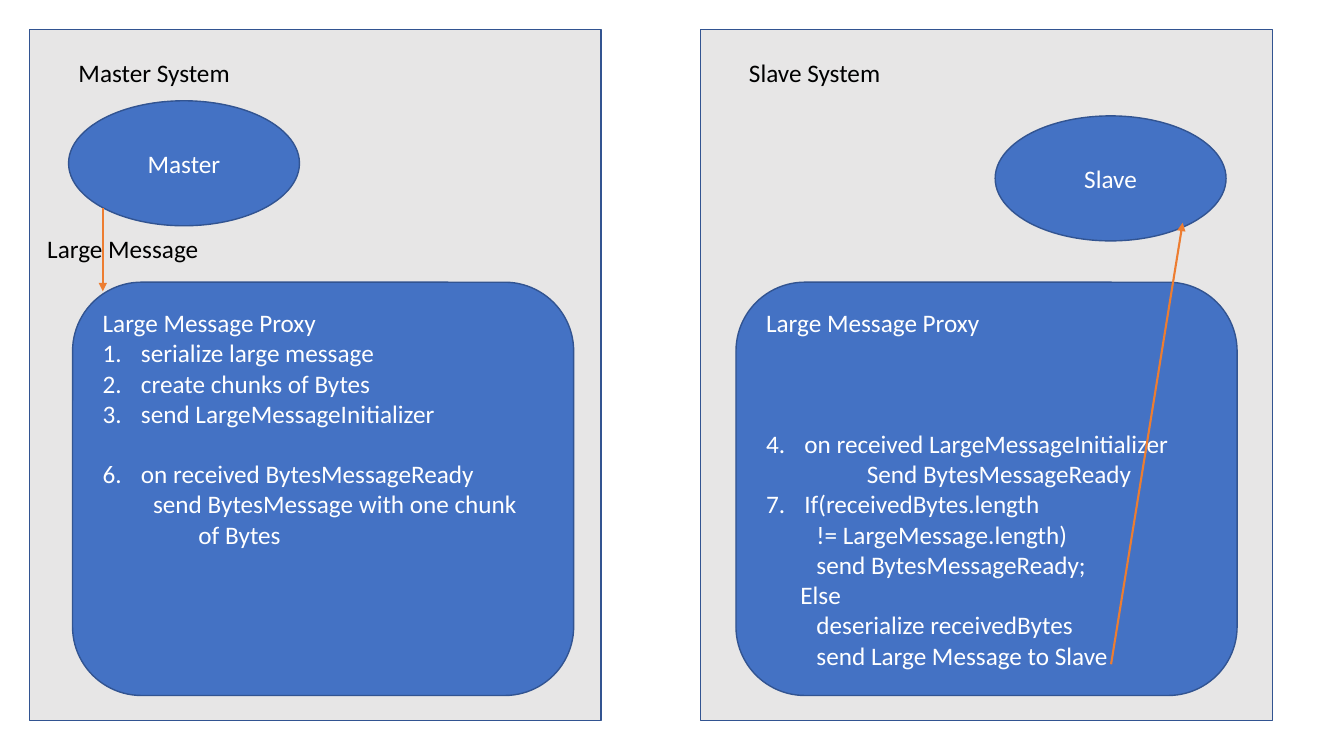
import pptx
import pptx.util
import pptx.dml.color
import pptx.enum.shapes
import pptx.enum.text
import pptx.oxml.ns
import lxml.etree

Inches = pptx.util.Inches
Pt = pptx.util.Pt
SHAPE = pptx.enum.shapes.MSO_SHAPE
ANCHOR = pptx.enum.text.MSO_ANCHOR
ALIGN = pptx.enum.text.PP_ALIGN
qn = pptx.oxml.ns.qn


def rgb(value):
    return pptx.dml.color.RGBColor.from_string(value)


def put_text(p, text, font="Calibri", size=18, color="FFFFFF", align=ALIGN.LEFT,
             indent=0, number=None, before=0):
    p.alignment = align
    p.space_before = Pt(before)
    r = p.add_run()
    r.text = text
    r.font.name = font
    r.font.size = Pt(size)
    r.font.color.rgb = rgb(color)
    pPr = p._p.get_or_add_pPr()
    if number:
        indent = 0.38
        pPr.set("indent", str(Inches(-indent)))
        bu = lxml.etree.SubElement(pPr, qn("a:buAutoNum"), type="arabicPeriod")
        if number > 1:
            bu.set("startAt", str(number))
    if indent:
        pPr.set("marL", str(Inches(indent)))


class Deck:
    blue = "4472C4"
    gray = "E7E6E6"
    edge = "325491"
    orange = "ED7D31"

    def __init__(self):
        self.prs = pptx.Presentation()
        self.prs.slide_width = Inches(13.33)
        self.prs.slide_height = Inches(7.5)
        self.s = self.prs.slides.add_slide(self.prs.slide_layouts[6])

    def shape(self, kind, x, y, w, h, fill):
        sp = self.s.shapes.add_shape(kind, Inches(x), Inches(y), Inches(w), Inches(h))
        sp.shadow.inherit = False
        sp.fill.solid()
        sp.fill.fore_color.rgb = rgb(fill)
        sp.line.color.rgb = rgb(self.edge)
        sp.line.width = Pt(1)
        return sp

    def system(self, x):
        self.shape(SHAPE.RECTANGLE, x, 0.29, 5.67, 6.86, self.gray)

    def label(self, text, x, y, w):
        tf = self.s.shapes.add_textbox(Inches(x), Inches(y), Inches(w), Inches(0.4)).text_frame
        tf.word_wrap = True
        put_text(tf.paragraphs[0], text, color="000000")

    def actor(self, text, x, y):
        tf = self.shape(SHAPE.OVAL, x, y, 2.29, 1.24, self.blue).text_frame
        tf.vertical_anchor = ANCHOR.MIDDLE
        put_text(tf.paragraphs[0], text, align=ALIGN.CENTER)

    def proxy(self, x, steps):
        tf = self.shape(SHAPE.ROUNDED_RECTANGLE, x, 2.8, 4.97, 4.1, self.blue).text_frame
        tf.word_wrap = True
        tf.vertical_anchor = ANCHOR.TOP
        put_text(tf.paragraphs[0], "Large Message Proxy")
        for text, style in steps:
            put_text(tf.add_paragraph(), text, **style)

    def arrow(self, x1, y1, x2, y2):
        c = self.s.shapes.add_connector(pptx.enum.shapes.MSO_CONNECTOR.STRAIGHT,
                                        Inches(x1), Inches(y1), Inches(x2), Inches(y2))
        c.line.color.rgb = rgb(self.orange)
        c.line.width = Pt(1.5)
        lxml.etree.SubElement(c.line._get_or_add_ln(), qn("a:tailEnd"), type="triangle")
        lxml.etree.SubElement(c._element.spPr, qn("a:effectLst"))


def main():
    line = 21.6
    master_steps = [
        ("serialize large message", dict(number=1)),
        ("create chunks of Bytes", dict(number=1)),
        ("send LargeMessageInitializer", dict(number=1)),
        ("on received BytesMessageReady", dict(number=6, before=line)),
        ("send BytesMessage with one chunk", dict(indent=0.5)),
        ("of Bytes", dict(indent=0.95)),
    ]
    slave_steps = [
        ("on received LargeMessageInitializer", dict(number=4, before=3 * line)),
        ("Send BytesMessageReady", dict(indent=1)),
        ("If(receivedBytes.length", dict(number=7)),
        ("!= LargeMessage.length)", dict(indent=0.5)),
        ("send BytesMessageReady;", dict(indent=0.5)),
        ("Else", dict(indent=0.34)),
        ("deserialize receivedBytes", dict(indent=0.5)),
        ("send Large Message to Slave", dict(indent=0.5)),
    ]
    d = Deck()
    d.system(0.29)
    d.label("Master System", 0.68, 0.52, 3.41)
    d.system(6.95)
    d.label("Slave System", 7.33, 0.52, 3.41)
    d.actor("Master", 0.68, 1)
    d.actor("Slave", 9.87, 1.15)
    d.proxy(0.72, master_steps)
    d.arrow(1.02, 2.06, 1.02, 2.89)
    d.label("Large Message", 0.37, 2.27, 2.29)
    d.proxy(7.3, slave_steps)
    d.arrow(11.02, 6.59, 11.73, 2.21)
    d.prs.save("out.pptx")


if __name__ == "__main__":
    main()
